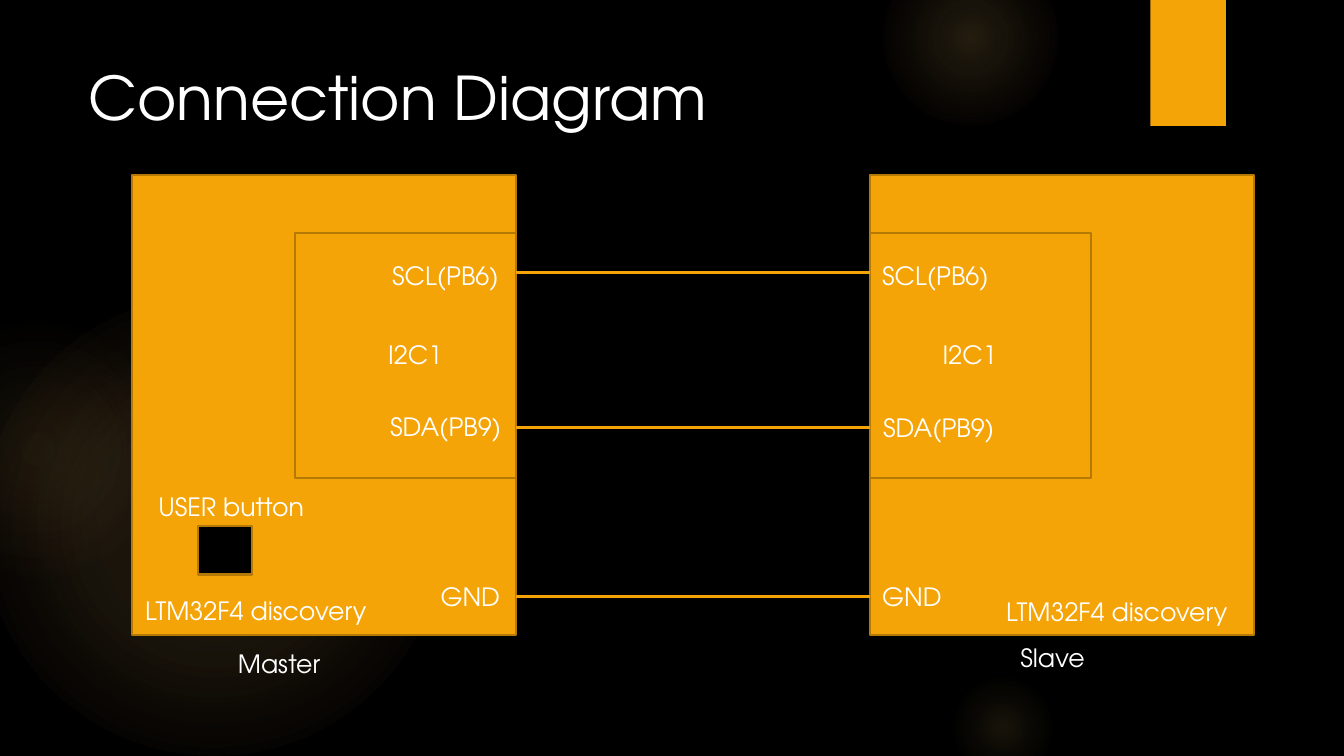
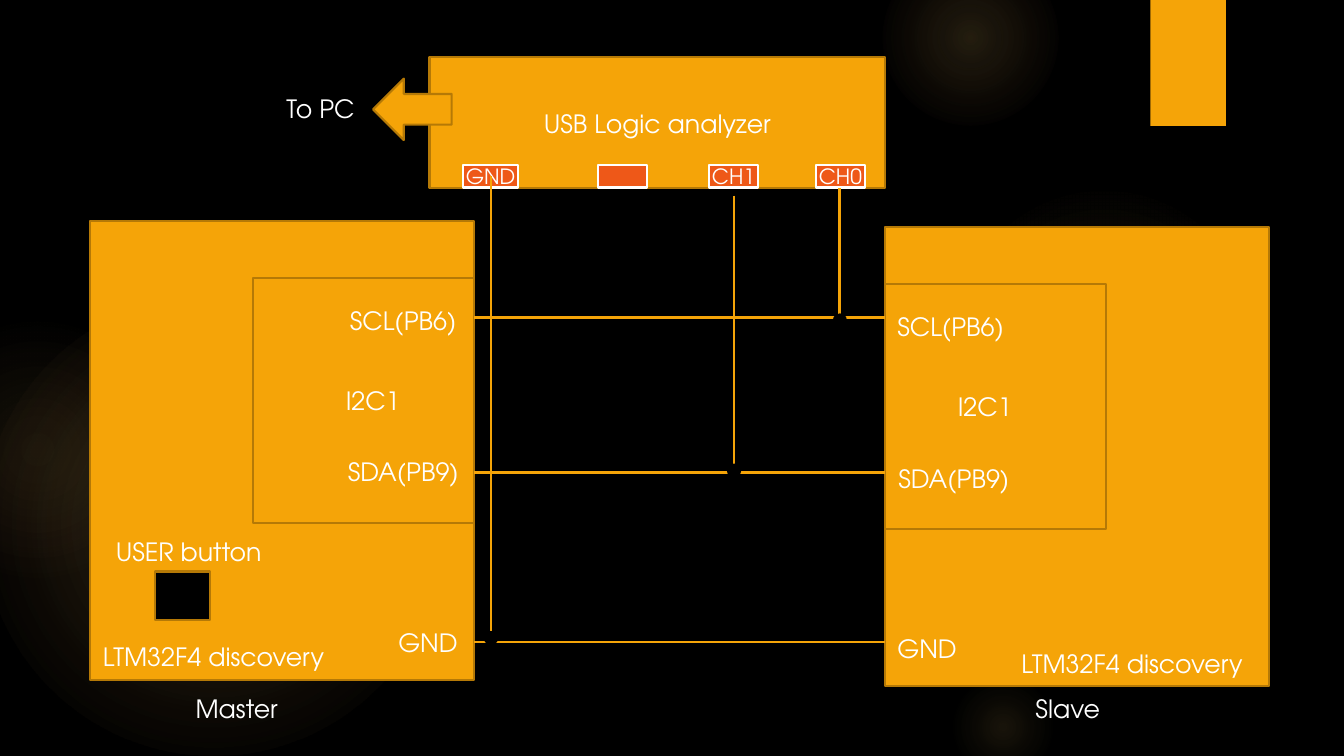
from dataclasses import dataclass

from pptx import Presentation
from pptx.dml.color import RGBColor
from pptx.enum.shapes import MSO_CONNECTOR as Connector, MSO_SHAPE as Preset
from pptx.enum.text import MSO_ANCHOR as Anchor, MSO_AUTO_SIZE as AutoSize, PP_ALIGN as Align
from pptx.oxml import parse_xml
from pptx.oxml.ns import nsdecls, qn
from pptx.util import Inches, Pt


@dataclass(frozen=True)
class Theme:
    font: str = "TeX Gyre Adventor"
    background: str = "000000"
    text: str = "FFFFFF"
    accent: str = "F5A408"
    outline: str = "B57906"
    port: str = "EE5818"
    glow: str = "FAC96A"
    glow_edge: str = "F59B74"
    title_size: int = 43
    body_size: int = 18
    port_size: int = 15
    outline_width: float = 1.5
    wire_width: float = 2


theme = Theme()

GLOWS = [
    (-0.17, 2.92, 4.58, [(0, 11), (36, 10), (75, 0)], theme.glow),
    (-0.92, 3.17, 2.58, [(0, 8), (36, 5), (71, 0)], theme.glow_edge),
    (9.41, 1.83, 3.08, [(0, 7), (36, 6), (69, 0)], theme.glow),
    (8.75, -0.5, 1.75, [(0, 14), (36, 7), (73, 0)], theme.glow),
    (9.41, 6.67, 1.08, [(0, 10), (31, 5), (66, 0)], theme.glow),
]
TAB = (11.41, 0, 0.75, 1.25)
TITLE = ("Connection Diagram", (0.75, 0.53, 6.43, 0.85))

BOARD_NAME = "LTM32F4 discovery"
BOARD_SIZE = (3.81, 4.56)
MODULE_SIZE = (2.19, 2.43)
MODULE_TOP = 0.57
BUTTON = (0.65, 3.48, 0.54, 0.48)
LABEL_HEIGHT = 0.45
WIRE_OFFSETS = (0.96, 2.5, 4.18)
MASTER_LABELS = [
    ("I2C1", 2.41, 1.56, 0.83),
    ("SCL(PB6)", 2.45, 0.77, 1.37),
    ("SDA(PB9)", 2.43, 2.27, 1.43),
    ("GND", 2.93, 3.96, 0.89),
    (BOARD_NAME, 0, 4.1, 2.6),
    ("USER button", 0.13, 3.06, 1.79),
    ("Master", 0.92, 4.62, 1.13),
]
SLAVE_LABELS = [
    ("I2C1", 0.59, 1.56, 0.83),
    ("SCL(PB6)", -0.01, 0.77, 1.37),
    ("SDA(PB9)", 0, 2.28, 1.43),
    ("GND", -0.01, 3.96, 0.89),
    (BOARD_NAME, 1.22, 4.11, 2.6),
    ("Slave", 1.36, 4.56, 0.95),
]

ANALYZER = ("USB Logic analyzer", (4.26, 0.57, 4.52, 1.3))
ARROW = (3.7, 0.78, 0.78, 0.61)
ARROW_LABEL = ("To PC", (2.71, 0.86, 0.99, LABEL_HEIGHT))
PORTS = [
    ("CH0", 8.09, 0.49),
    ("CH1", 7.03, 0.49),
    ("", 5.93, 0.49),
    ("GND", 4.59, 0.55),
]
PORT_TOP, PORT_HEIGHT = 1.64, 0.22
PROBES = [(8.33, 1.87, 3.19), (7.28, 1.94, 4.69), (4.87, 1.75, 6.36)]
DOT_CENTERS = [(8.33, 3.18), (7.28, 4.67), (4.87, 6.33)]
DOT_SIZE = 0.12


def color(value):
    return RGBColor.from_string(value)


def write_text(frame, text, size=theme.body_size, align=Align.LEFT, anchor=Anchor.TOP,
               insets=(0.13, 0.07), auto_size=AutoSize.NONE):
    frame.word_wrap = False
    frame.auto_size = auto_size
    frame.vertical_anchor = anchor
    frame.margin_left = frame.margin_right = Inches(insets[0])
    frame.margin_top = frame.margin_bottom = Inches(insets[1])
    paragraph = frame.paragraphs[0]
    paragraph.alignment = align
    run = paragraph.add_run()
    run.text = text
    run.font.name = theme.font
    run.font.size = Pt(size)
    run.font.color.rgb = color(theme.text)


def add_label(slide, text, box):
    label = slide.shapes.add_textbox(*map(Inches, box))
    write_text(label.text_frame, text, auto_size=AutoSize.SHAPE_TO_FIT_TEXT)


def add_block(slide, box, preset=Preset.RECTANGLE, fill=theme.accent, line=theme.outline):
    shape = slide.shapes.add_shape(preset, *map(Inches, box))
    shape.shadow.inherit = False
    if fill:
        shape.fill.solid()
        shape.fill.fore_color.rgb = color(fill)
    else:
        shape.fill.background()
    if line:
        shape.line.color.rgb = color(line)
        shape.line.width = Pt(theme.outline_width)
    else:
        shape.line.fill.background()
    return shape


def add_wire(slide, start, end):
    wire = slide.shapes.add_connector(Connector.STRAIGHT, *map(Inches, start + end))
    wire.line.color.rgb = color(theme.accent)
    wire.line.width = Pt(theme.wire_width)
    wire.element.spPr.append(parse_xml(f"<a:effectLst {nsdecls('a')}/>"))


def add_glow(slide, left, top, size, stops, edge):
    shape = add_block(slide, (left, top, size, size), Preset.OVAL, fill=None, line=None)
    colors = [theme.glow] * (len(stops) - 1) + [edge]
    stop_xml = "".join(
        f'<a:gs pos="{position * 1000}"><a:srgbClr val="{value}">'
        f'<a:alpha val="{alpha * 1000}"/></a:srgbClr></a:gs>'
        for (position, alpha), value in zip(stops, colors)
    )
    gradient = parse_xml(
        f'<a:gradFill {nsdecls("a")} rotWithShape="1"><a:gsLst>{stop_xml}</a:gsLst>'
        '<a:path path="circle"><a:fillToRect l="50000" t="50000" r="50000" b="50000"/>'
        '</a:path></a:gradFill>'
    )
    properties = shape.element.spPr
    properties.replace(properties.find(qn("a:noFill")), gradient)
    return shape


def decorate_master(master, slide):
    master.background.fill.solid()
    master.background.fill.fore_color.rgb = color(theme.background)
    decorations = [add_glow(slide, *glow) for glow in GLOWS]
    decorations.append(add_block(slide, TAB, line=None))
    for shape in decorations:
        master.shapes.element.append(shape.element)


def add_boards(slide, master_origin, slave_origin):
    master_left, master_top = master_origin
    slave_left, slave_top = slave_origin
    master_right = master_left + BOARD_SIZE[0]
    module_lefts = (master_right - MODULE_SIZE[0], slave_left)
    for (left, top), module_left in zip((master_origin, slave_origin), module_lefts):
        add_block(slide, (left, top, *BOARD_SIZE))
        add_block(slide, (module_left, top + MODULE_TOP, *MODULE_SIZE))
    for offset in WIRE_OFFSETS:
        height = master_top + offset
        add_wire(slide, (master_right, height), (slave_left, height))
    left, top, *size = BUTTON
    add_block(slide, (master_left + left, master_top + top, *size), fill=theme.background)
    for origin, labels in ((master_origin, MASTER_LABELS), (slave_origin, SLAVE_LABELS)):
        for text, left, top, width in labels:
            add_label(slide, text, (origin[0] + left, origin[1] + top, width, LABEL_HEIGHT))


def add_analyzer(slide):
    text, box = ANALYZER
    analyzer = add_block(slide, box)
    write_text(analyzer.text_frame, text, align=Align.CENTER, anchor=Anchor.MIDDLE)
    for text, left, width in PORTS:
        port = add_block(slide, (left, PORT_TOP, width, PORT_HEIGHT),
                         fill=theme.port, line=theme.text)
        if text:
            write_text(port.text_frame, text, size=theme.port_size, align=Align.CENTER,
                       anchor=Anchor.MIDDLE, insets=(0, 0))
    add_block(slide, ARROW, Preset.LEFT_ARROW)
    add_label(slide, *ARROW_LABEL)
    for x, top, bottom in PROBES:
        add_wire(slide, (x, top), (x, bottom))
    for x, y in DOT_CENTERS:
        add_block(slide, (x - DOT_SIZE / 2, y - DOT_SIZE / 2, DOT_SIZE, DOT_SIZE),
                  Preset.OVAL, fill=theme.background, line=theme.background)


def add_title(slide, text, box):
    title = slide.shapes.title
    title.left, title.top, title.width, title.height = map(Inches, box)
    write_text(title.text_frame, text, size=theme.title_size)


presentation = Presentation()
presentation.slide_width = Inches(13.33)
presentation.slide_height = Inches(7.5)
title_only = presentation.slide_layouts.get_by_name("Title Only")
blank = presentation.slide_layouts.get_by_name("Blank")

connection_slide = presentation.slides.add_slide(title_only)
decorate_master(presentation.slide_master, connection_slide)
add_boards(connection_slide, (1.31, 1.74), (8.63, 1.74))
add_title(connection_slide, *TITLE)

analyzer_slide = presentation.slides.add_slide(blank)
add_boards(analyzer_slide, (0.89, 2.19), (8.78, 2.25))
add_analyzer(analyzer_slide)

presentation.save("out.pptx")
